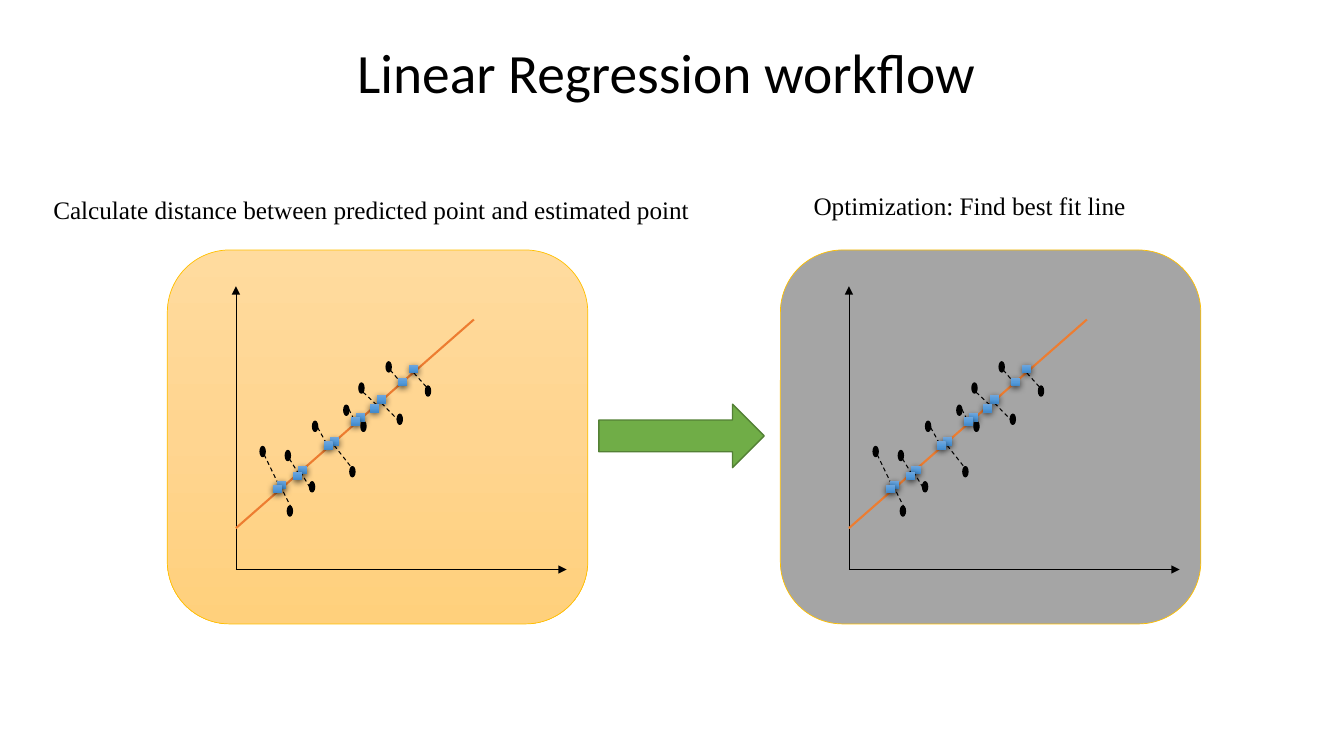
"""Builds the linear regression workflow slide on a grid of 1333 columns by 750 rows."""
from typing import NamedTuple, Optional

from lxml.etree import SubElement
from pptx import Presentation
from pptx.dml.color import RGBColor
from pptx.enum.dml import MSO_LINE
from pptx.enum.shapes import MSO_CONNECTOR, MSO_SHAPE
from pptx.enum.text import MSO_ANCHOR, MSO_AUTO_SIZE, PP_ALIGN
from pptx.oxml.ns import qn
from pptx.util import Inches, Pt

COLS, ROWS = 1333, 750
CELL = Inches(0.01)
BLACK, GOLD, ORANGE = "000000", "FFC000", "ED7D31"
BLUES = ("71A6DB", "559BDB", "448ACA")


class Box(NamedTuple):
    """A rectangle in grid columns and rows."""
    col: int
    row: int
    cols: int
    rows: int


class Panel(NamedTuple):
    """A plot card with its caption."""
    box: Box
    fills: tuple
    caption: str
    caption_box: Box


class Residual(NamedTuple):
    """A dashed line, whose start may be joined to the bottom of a marker."""
    x1: int
    y1: int
    x2: int
    y2: int
    marker: Optional[int] = None


PANELS = (
    Panel(Box(166, 248, 417, 371), ("FFDB9E", "FFD590", "FFD07C"),
          "Calculate distance between predicted point and estimated point",
          Box(43, 188, 678, 40)),
    Panel(Box(774, 248, 417, 371), ("A5A5A5",),
          "Optimization: Find best fit line", Box(797, 184, 339, 40)),
)
AXES = ((68, 317, 68, 36), (68, 317, 396, 317))
FIT_LINE = (68, 276, 304, 69)
POINTS = ((92, 195), (117, 199), (144, 170), (190, 132), (175, 154), (192, 170),
          (141, 230), (181, 215), (228, 163), (256, 135), (119, 254), (217, 111))
MARKERS = ((240, 114), (229, 127), (208, 144), (201, 153), (187, 162), (182, 166),
           (161, 186), (155, 190), (130, 214), (125, 220), (109, 229), (105, 233))
RESIDUALS = (
    Residual(96, 203, 109, 230), Residual(115, 240, 122, 254),
    Residual(121, 207, 132, 225), Residual(149, 176, 160, 196),
    Residual(165, 193, 186, 220, 6), Residual(132, 220, 141, 235),
    Residual(180, 158, 186, 170), Residual(194, 141, 208, 154),
    Residual(212, 153, 228, 168, 2), Residual(221, 119, 232, 132),
    Residual(244, 121, 257, 136, 0),
)


def rgb(value: str) -> RGBColor:
    """Turn a hex string into a colour."""
    return RGBColor.from_string(value)


def cells(*counts: int) -> list:
    """Turn grid counts into lengths."""
    return [n * CELL for n in counts]


def apply(target, values: dict) -> None:
    """Set every attribute named in the dict."""
    for name, value in values.items():
        setattr(target, name, value)


def paint(sp, colours: tuple) -> None:
    """Fill a shape with one colour or an evenly spaced downward gradient."""
    if len(colours) == 1:
        sp.fill.solid()
        sp.fill.fore_color.rgb = rgb(colours[0])
        return
    sp.fill.gradient()
    sp.fill.gradient_angle = 270
    stops = sp._element.spPr.find(qn("a:gradFill")).find(qn("a:gsLst"))
    for stop in list(stops):
        stops.remove(stop)
    for i, colour in enumerate(colours):
        stop = SubElement(stops, qn("a:gs"), pos=str(100000 * i // (len(colours) - 1)))
        SubElement(stop, qn("a:srgbClr"), val=colour)


def draw_shape(s, kind, box: Box, fills: tuple, line: Optional[str] = None,
               width: float = 1):
    """Add a preset shape without a shadow."""
    sp = s.shapes.add_shape(kind, *cells(*box))
    sp.shadow.inherit = False
    paint(sp, fills)
    if line:
        sp.line.color.rgb = rgb(line)
        sp.line.width = Pt(width)
    else:
        sp.line.fill.background()
    return sp


def draw_marker(s, col: int, row: int):
    """Add a blue marker with a soft shadow below it."""
    sp = draw_shape(s, MSO_SHAPE.RECTANGLE, Box(col, row, 9, 8), BLUES)
    shadow = SubElement(sp._element.spPr.find(qn("a:effectLst")), qn("a:outerShdw"),
                        blurRad=str(Pt(4.5)), dist=str(Pt(1.5)), dir="5400000",
                        algn="ctr", rotWithShape="0")
    colour = SubElement(shadow, qn("a:srgbClr"), val=BLACK)
    SubElement(colour, qn("a:alpha"), val="63000")
    return sp


def draw_line(s, ends: tuple, colour: str, width: float, dashed: bool = False,
              arrow: bool = False):
    """Add a straight line, dashed or with an arrowhead on request."""
    cxn = s.shapes.add_connector(MSO_CONNECTOR.STRAIGHT, *cells(*ends))
    cxn.line.color.rgb = rgb(colour)
    cxn.line.width = Pt(width)
    if dashed:
        cxn.line.dash_style = MSO_LINE.DASH
    if arrow:
        SubElement(cxn.line._get_or_add_ln(), qn("a:tailEnd"), type="triangle")
    SubElement(cxn._element.spPr, qn("a:effectLst"))
    return cxn


def write(sp, text: str, frame: dict, para: dict, font: dict) -> None:
    """Put one formatted black line of text into a shape."""
    tf = sp.text_frame
    apply(tf, frame)
    p = tf.paragraphs[0]
    apply(p, para)
    r = p.add_run()
    r.text = text
    apply(r.font, font)
    r.font.color.rgb = rgb(BLACK)


def draw_panel(s, panel: Panel) -> None:
    """Add a card with its axes, fit line, points, residuals, markers and caption."""
    x, y = panel.box.col, panel.box.row

    def shift(ends: tuple) -> tuple:
        """Move line ends from the card to the slide."""
        return ends[0] + x, ends[1] + y, ends[2] + x, ends[3] + y

    draw_shape(s, MSO_SHAPE.ROUNDED_RECTANGLE, panel.box, panel.fills, GOLD, 0.5)
    for axis in AXES:
        draw_line(s, shift(axis), BLACK, 0.5, arrow=True)
    draw_line(s, shift(FIT_LINE), ORANGE, 1.5)
    for col, row in POINTS:
        draw_shape(s, MSO_SHAPE.OVAL, Box(col + x, row + y, 5, 10), (BLACK,), BLACK)
    lines = [draw_line(s, shift(res[:4]), BLACK, 0.75, dashed=True) for res in RESIDUALS]
    markers = [draw_marker(s, col + x, row + y) for col, row in MARKERS]
    for res, cxn in zip(RESIDUALS, lines):
        if res.marker is not None:
            cxn.begin_connect(markers[res.marker], 2)
    caption = s.shapes.add_textbox(*cells(*panel.caption_box))
    write(caption, panel.caption,
          {"word_wrap": False, "auto_size": MSO_AUTO_SIZE.SHAPE_TO_FIT_TEXT},
          {"alignment": PP_ALIGN.LEFT}, {"size": Pt(18), "name": "Times New Roman"})


def main() -> None:
    """Build and save the slide."""
    prs = Presentation()
    apply(prs, {"slide_width": COLS * CELL, "slide_height": ROWS * CELL})
    s = prs.slides.add_slide(prs.slide_layouts[5])
    title = s.shapes.title
    apply(title, dict(zip(("left", "top", "width", "height"), cells(92, 40, 1150, 69))))
    write(title, "Linear Regression workflow ",
          {"vertical_anchor": MSO_ANCHOR.MIDDLE, "word_wrap": True},
          {"alignment": PP_ALIGN.CENTER, "line_spacing": 0.9},
          {"size": Pt(39.6), "name": "Calibri"})
    for panel in PANELS:
        draw_panel(s, panel)
    draw_shape(s, MSO_SHAPE.RIGHT_ARROW, Box(594, 401, 164, 63), ("70AD47",), "538035")
    prs.save("out.pptx")


if __name__ == "__main__":
    main()
